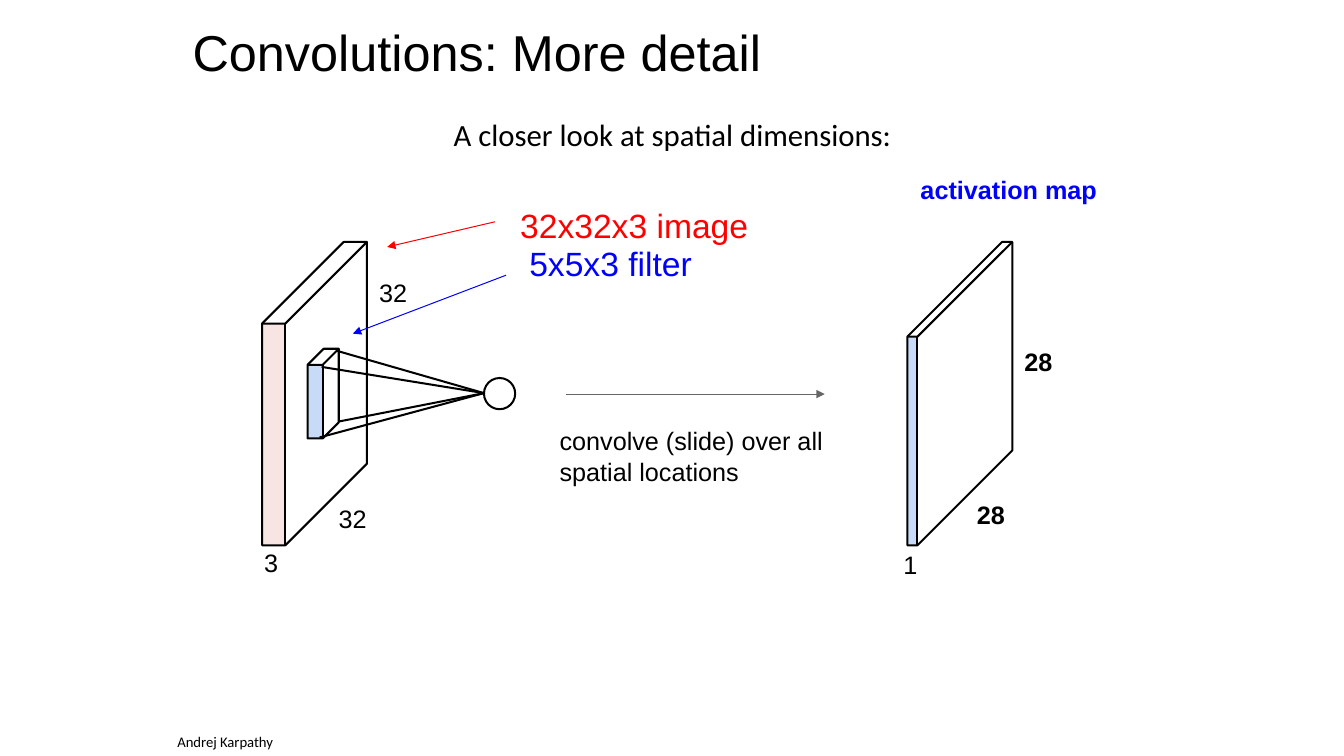
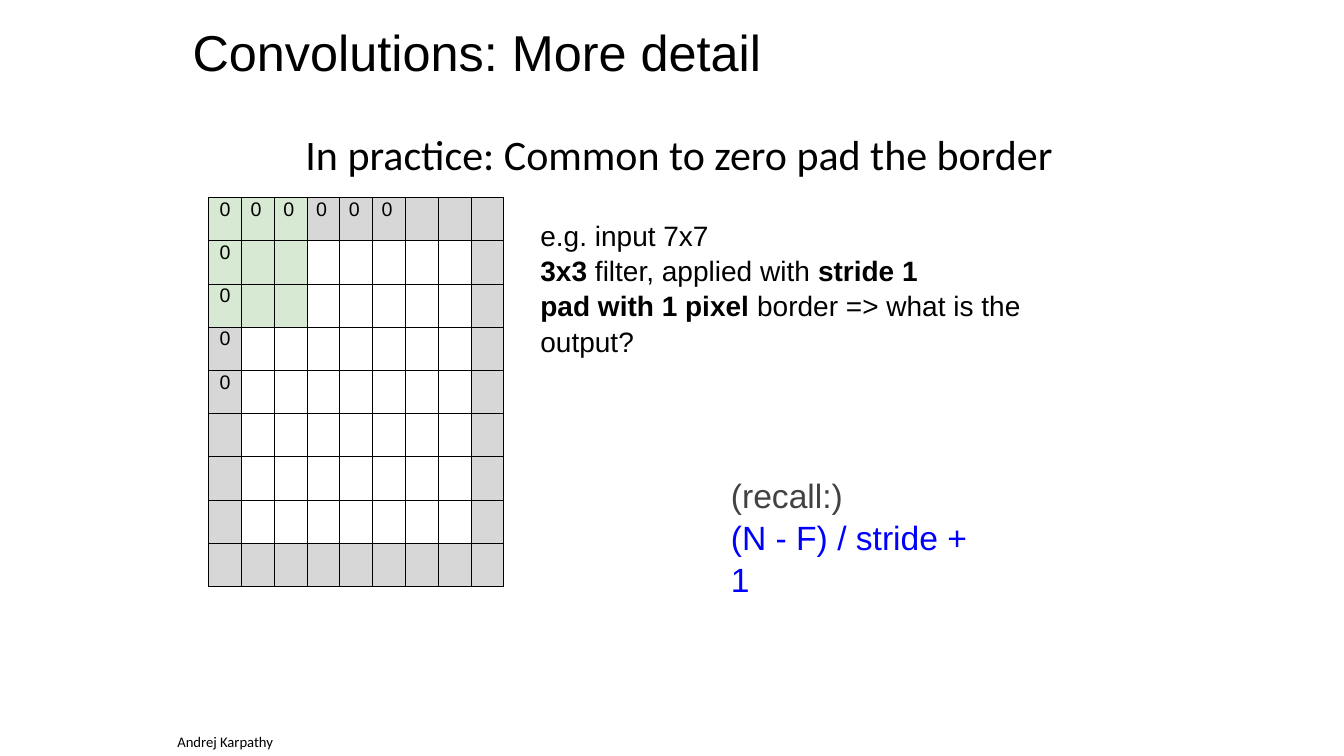
from lxml import etree
from pptx import Presentation
from pptx.dml.color import RGBColor
from pptx.enum import shapes, text
from pptx.oxml.ns import qn
from pptx.util import Inches, Pt

BLACK = RGBColor(0x00, 0x00, 0x00)
RED = RGBColor(0xFF, 0x00, 0x00)
BLUE = RGBColor(0x00, 0x00, 0xFF)
GRAY = RGBColor(0x66, 0x66, 0x66)
DARK = RGBColor(0x42, 0x42, 0x42)
PINK = RGBColor(0xF9, 0xE4, 0xE4)
SKY = RGBColor(0xC7, 0xDA, 0xF7)
GREEN = RGBColor(0xD7, 0xE9, 0xD2)
PAD = RGBColor(0xD7, 0xD7, 0xD7)

SANS, BODY = "Arial", "Calibri"
EDGE, THIN = 1.44, 0.72


class Deck:
    def __init__(self):
        self.prs = Presentation()
        self.prs.slide_width = Inches(13.33)
        self.prs.slide_height = Inches(7.5)
        self.slide = None

    def page(self, title):
        """Start a slide with the shared title and footer."""
        self.slide = self.prs.slides.add_slide(self.prs.slide_layouts[6])
        self.label(1.91, 0.21, 8, title, 36)
        foot = self.label(1.76, 7.29, 1.2, "Andrej Karpathy", 10.5, font=BODY)
        foot.paragraphs[0].line_spacing = Pt(11)

    def label(self, x, y, w, *paras, size=18, color=BLACK, font=SANS, bold=False):
        """Place paragraphs; each is a string or a list of (words, bold) runs."""
        paras = list(paras)
        if not isinstance(paras[-1], (str, list)):
            size = paras.pop()
        box = self.slide.shapes.add_textbox(
            Inches(x), Inches(y), Inches(w), Pt(size * 1.2 * len(paras)))
        frame = box.text_frame
        frame.word_wrap = True
        frame.margin_left = frame.margin_right = 0
        frame.margin_top = frame.margin_bottom = 0
        for i, para in enumerate(paras):
            p = frame.add_paragraph() if i else frame.paragraphs[0]
            if len(paras) > 1:
                p.line_spacing = 1.05
            self.style(p, size, color, font, bold)
            if isinstance(para, str):
                p.add_run().text = para
                continue
            for words, strong in para:
                run = p.add_run()
                run.text = words
                run.font.bold = strong
        return frame

    def style(self, p, size, color=BLACK, font=SANS, bold=False):
        p.font.size = Pt(size)
        p.font.name = font
        p.font.bold = bold
        p.font.color.rgb = color

    def line(self, start, end, color=BLACK, width=EDGE, arrow=False):
        ends = [Inches(v) for v in (*start, *end)]
        con = self.slide.shapes.add_connector(shapes.MSO_CONNECTOR.STRAIGHT, *ends)
        con.line.color.rgb = color
        con.line.width = Pt(width)
        if arrow:
            ln = con.line._get_or_add_ln()
            etree.SubElement(ln, qn("a:tailEnd"), type="triangle", w="med", len="med")
        etree.SubElement(con._element.spPr, qn("a:effectLst"))

    def shape(self, kind, x, y, w, h, fill=None, edge=None):
        shp = self.slide.shapes.add_shape(
            kind, Inches(x), Inches(y), Inches(w), Inches(h))
        self.paint(shp, fill, edge)

    def paint(self, shp, fill, edge):
        shp.shadow.inherit = False
        if fill is None:
            shp.fill.background()
        else:
            shp.fill.solid()
            shp.fill.fore_color.rgb = fill
        if edge is None:
            shp.line.fill.background()
        else:
            shp.line.color.rgb = edge
            shp.line.width = Pt(EDGE)

    def slab(self, x, y, w, h, deep, fill):
        """Draw a box with a filled front face, receding up and right."""
        self.shape(shapes.MSO_SHAPE.RECTANGLE, x, y, w, h, fill)
        right, low = x + w, y + h
        back = (right + deep, y - deep)
        rim = [(x, y), (x + deep, y - deep), back,
               (right + deep, low - deep), (right, low), (x, low), (x, y)]
        folds = [[(x, y), (right, y), back], [(right, y), (right, low)]]
        pen = None
        for path in (rim, *folds):
            pts = [(Inches(a), Inches(b)) for a, b in path]
            if pen is None:
                pen = self.slide.shapes.build_freeform(*pts[0])
            else:
                pen.move_to(*pts[0])
            pen.add_line_segments(pts[1:], close=path is rim)
        self.paint(pen.convert_to_shape(), None, BLACK)

    def grid(self, x, y, w, h, n, fill, words):
        """Draw an n by n table; fill and words are rules of row and column."""
        table = self.slide.shapes.add_table(
            n, n, Inches(x), Inches(y), Inches(w), Inches(h)).table
        table.first_row = table.horz_banding = False
        for i in range(n):
            table.columns[i].width = Inches(w / n)
            table.rows[i].height = Inches(h / n)
        for k, cell in enumerate(table.iter_cells()):
            row, col = divmod(k, n)
            cell.margin_left = Inches(0.09 if col else 0)
            cell.margin_right = cell.margin_top = cell.margin_bottom = 0
            p = cell.text_frame.paragraphs[0]
            p.line_spacing = Pt(16.4)
            if not col:
                p.alignment = text.PP_ALIGN.CENTER
            self.style(p, 14)
            if words(row, col):
                p.add_run().text = words(row, col)
            self.border(cell)
            if fill(row, col) is None:
                cell.fill.background()
            else:
                cell.fill.solid()
                cell.fill.fore_color.rgb = fill(row, col)

    def border(self, cell):
        props = cell._tc.get_or_add_tcPr()
        for side in ("lnL", "lnR", "lnT", "lnB"):
            ln = etree.SubElement(props, qn("a:" + side), w=str(Pt(0.75)))
            solid = etree.SubElement(ln, qn("a:solidFill"))
            etree.SubElement(solid, qn("a:srgbClr"), val=str(BLACK))


def spatial(deck):
    deck.page("Convolutions: More detail")
    deck.label(4.5, 1.15, 5, "A closer look at spatial dimensions:", 22, font=BODY)

    deck.slab(2.6, 3.21, 0.23, 2.2, 0.81, PINK)
    deck.slab(3.05, 3.62, 0.15, 0.73, 0.16, SKY)
    deck.slab(9, 3.34, 0.1, 2.07, 0.94, SKY)
    deck.shape(shapes.MSO_SHAPE.OVAL, 4.8, 3.75, 0.31, 0.31, edge=BLACK)
    for start in ((3.17, 4.34), (3.19, 3.64), (3.34, 3.48), (3.37, 4.18)):
        deck.line(start, (4.8, 3.9))

    for start, end, color in (
            ((4.91, 2.2), (3.84, 2.45), RED),
            ((5.02, 2.73), (3.5, 3.31), BLUE),
            ((5.61, 3.91), (8.18, 3.91), GRAY)):
        deck.line(start, end, color, THIN, arrow=True)

    deck.label(5.16, 2.03, 3, "32x32x3 image", 24, color=RED)
    deck.label(5.25, 2.41, 3, "5x5x3 filter", 24, color=BLUE)
    deck.label(9.13, 1.73, 2, "activation map", color=BLUE, bold=True)
    deck.label(5.55, 4.2, 3, "convolve (slide) over all", "spatial locations")
    for x, y, size, bold in (
            (3.76, 2.75, "32", False), (3.36, 4.99, "32", False),
            (2.62, 5.43, "3", False), (8.96, 5.45, "1", False),
            (10.16, 3.44, "28", True), (9.69, 4.95, "28", True)):
        deck.label(x, y, 0.4, size, bold=bold)


def padding(deck):
    n, view, zeros = 9, 3, (6, 5)

    def fill(row, col):
        if row < view and col < view:
            return GREEN
        return PAD if {row, col} & {0, n - 1} else None

    def words(row, col):
        top = row == 0 and col < zeros[0]
        left = col == 0 and row < zeros[1]
        return "0" if top or left else ""

    deck.page("Convolutions: More detail")
    deck.label(3.03, 1.28, 7.8, "In practice: Common to zero pad the border", 30,
               font=BODY)
    deck.grid(2.07, 1.96, 2.93, 3.86, n, fill, words)
    deck.label(
        5.36, 2.15, 5.5,
        "e.g. input 7x7",
        [("3x3 ", True), ("filter, applied with ", False), ("stride 1", True)],
        [("pad with 1 pixel ", True), ("border => what is the output?", False)],
        20)
    recall = deck.label(7.25, 4.69, 2.5, "(recall:)", "(N - F) / stride + 1", 24,
                        color=BLUE)
    recall.paragraphs[0].font.color.rgb = DARK


def main():
    deck = Deck()
    spatial(deck)
    padding(deck)
    deck.prs.save("out.pptx")


if __name__ == "__main__":
    main()
